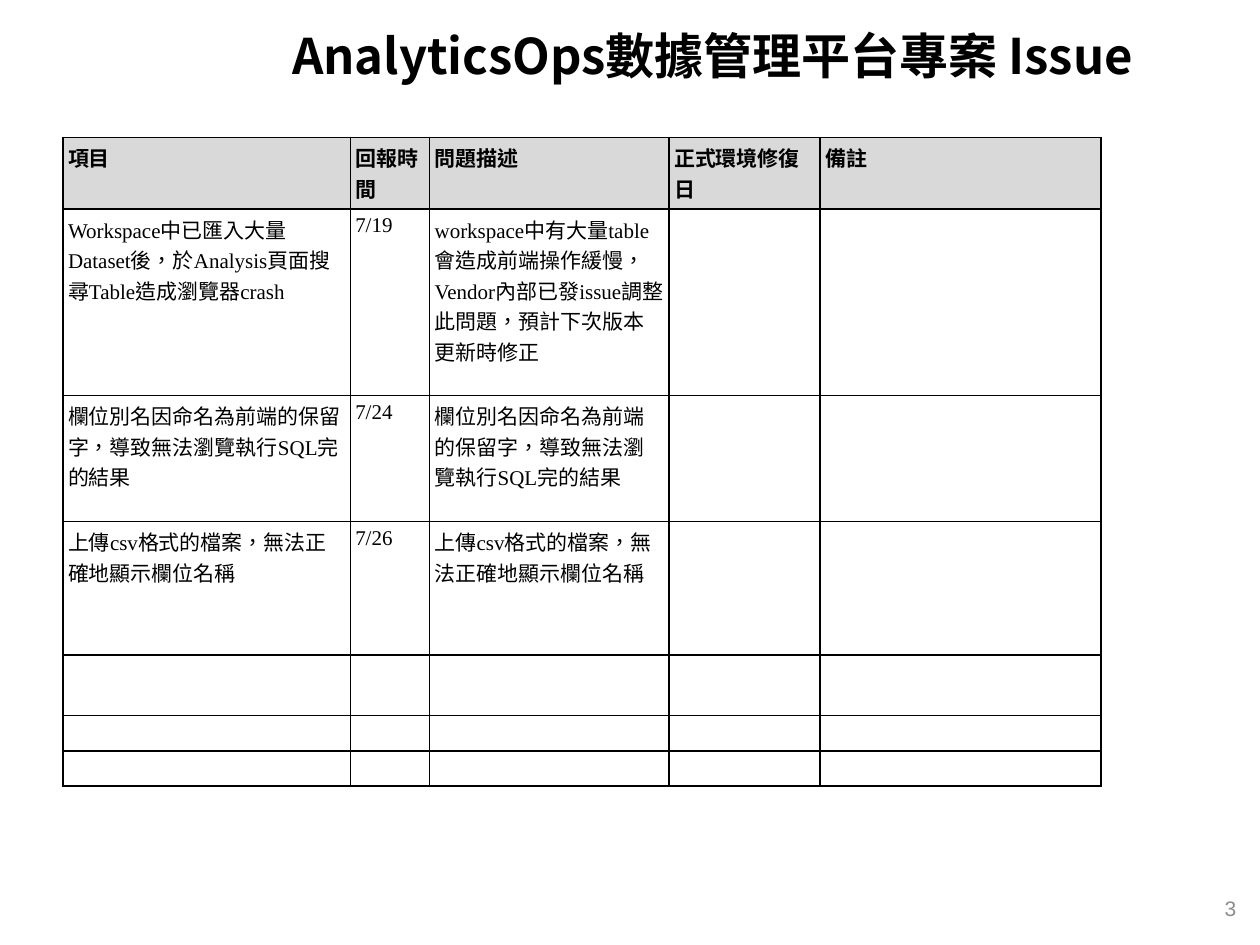
from lxml.etree import SubElement
from pptx import Presentation
from pptx.dml.color import RGBColor
from pptx.enum.text import MSO_ANCHOR as Anchor, PP_ALIGN as Align
from pptx.oxml.ns import qn
from pptx.util import Inches, Pt

CJK_FONT = "Noto Sans CJK SC"


def color(hex_string):
    return RGBColor.from_string(hex_string)


def write(paragraph, text, size, font_name, hex_string="000000", bold=False):
    run = paragraph.add_run()
    run.text = text
    formats = {"size": Pt(size), "name": font_name, "bold": bold}
    for name, value in formats.items():
        setattr(run.font, name, value)
    run.font.color.rgb = color(hex_string)
    properties = run._r.get_or_add_rPr()
    properties.set("lang", "zh-TW")
    SubElement(properties, qn("a:ea"), typeface=CJK_FONT)


presentation = Presentation()
presentation.slide_width = Inches(10)
presentation.slide_height = Inches(7.5)
slide = presentation.slides.add_slide(presentation.slide_layouts[6])

# Title and page number
text_boxes = [
    ((2.22, 0.15, 7.62, 0.69), "AnalyticsOps數據管理平台專案 Issue",
     (28, CJK_FONT, "000000", True), Anchor.TOP, Align.LEFT),
    ((7.66, 7.01, 2.25, 0.4), "3",
     (12, "Arial", "8C8C8C", False), Anchor.MIDDLE, Align.RIGHT),
]
for place, text, style, anchor, alignment in text_boxes:
    frame = slide.shapes.add_textbox(*map(Inches, place)).text_frame
    frame.word_wrap = True
    frame.vertical_anchor = anchor
    paragraph = frame.paragraphs[0]
    paragraph.alignment = alignment
    write(paragraph, text, *style)

# Issue table
alias_issue = "欄位別名因命名為前端的保留字，導致無法瀏覽執行SQL完的結果"
upload_issue = "上傳csv格式的檔案，無法正確地顯示欄位名稱"
rows = [
    ["項目", "回報時間", "問題描述", "正式環境修復日", "備註"],
    ["Workspace中已匯入大量Dataset後，於Analysis頁面搜尋Table造成瀏覽器crash", "7/19",
     "workspace中有大量table會造成前端操作緩慢，Vendor內部已發issue調整此問題，預計下次版本更新時修正"],
    [alias_issue, "7/24", alias_issue],
    [upload_issue, "7/26", upload_issue],
    [], [], [],
]
column_widths = [2.28, 0.63, 1.9, 1.2, 2.23]
row_heights = [0.57, 1.48, 1.0, 1.06, 0.48, 0.28, 0.28]
table = slide.shapes.add_table(
    len(row_heights), len(column_widths), Inches(0.5), Inches(1.09),
    Inches(sum(column_widths)), Inches(sum(row_heights))).table
for column, width in zip(table.columns, column_widths):
    column.width = Inches(width)
for row, height in zip(table.rows, row_heights):
    row.height = Inches(height)

for row_index, texts in enumerate(rows):
    is_header = row_index == 0
    for column_index in range(len(column_widths)):
        cell = table.cell(row_index, column_index)
        for side in ("left", "right", "top", "bottom"):
            setattr(cell, f"margin_{side}", Inches(0.04))

        # Borders come before the fill in the cell properties
        properties = cell._tc.get_or_add_tcPr()
        for tag in ("a:lnL", "a:lnR", "a:lnT", "a:lnB"):
            line = SubElement(properties, qn(tag), w=str(Pt(1)))
            fill = SubElement(line, qn("a:solidFill"))
            SubElement(fill, qn("a:srgbClr"), val="000000")
        if is_header:
            cell.fill.solid()
            cell.fill.fore_color.rgb = color("D9D9D9")
        else:
            cell.fill.background()

        paragraph = cell.text_frame.paragraphs[0]
        if column_index < len(texts):
            write(paragraph, texts[column_index], 12, "Times New Roman", bold=is_header)
        else:
            # Keeps empty rows as low as their set height
            SubElement(paragraph._p, qn("a:endParaRPr"), sz="1200")

presentation.save("out.pptx")
